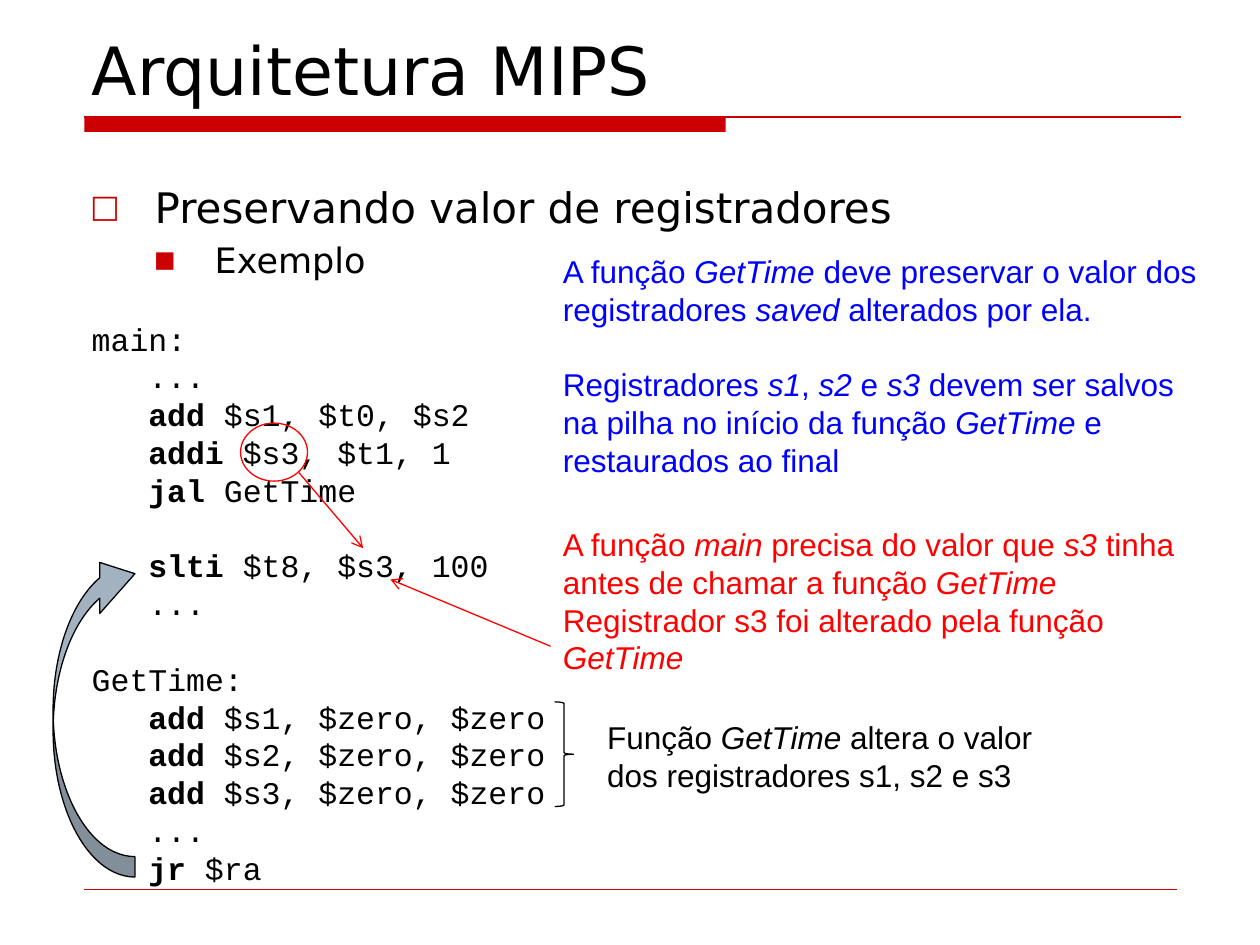
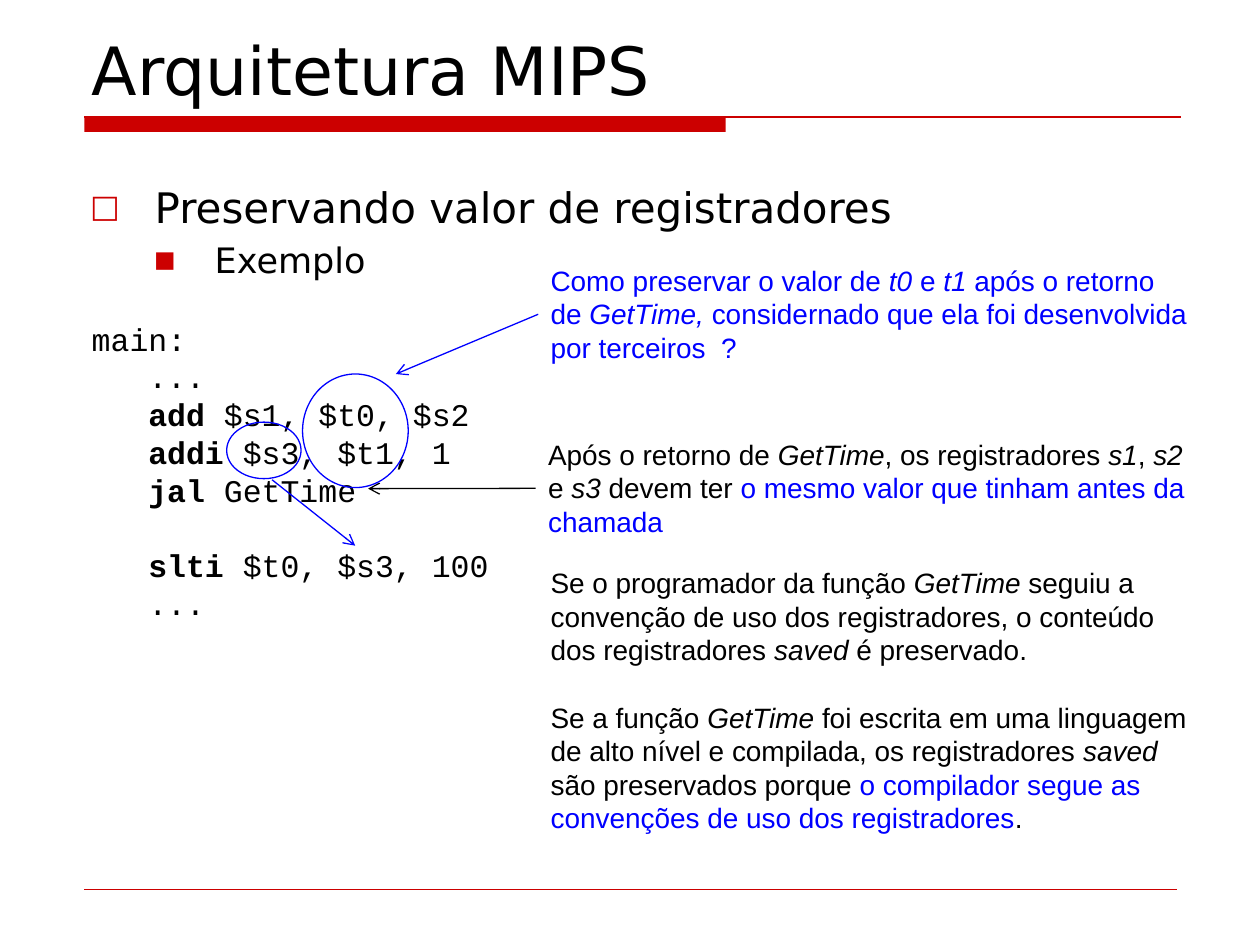
from collections import namedtuple
from dataclasses import dataclass

from lxml.etree import SubElement
from pptx import Presentation
from pptx.dml.color import RGBColor
from pptx.enum.shapes import MSO_CONNECTOR as Connector, MSO_SHAPE as Shape
from pptx.enum.text import MSO_ANCHOR as Anchor
from pptx.oxml.ns import qn
from pptx.util import Cm, Pt

Box = namedtuple("Box", "left top width height")


@dataclass(frozen=True)
class Theme:
    brand: str = "CC0000"
    ink: str = "000000"
    blue: str = "0000FF"
    red: str = "FF0000"
    steel: str = "A3B2C1"
    heading_font: str = "DejaVu Sans"
    code_font: str = "Courier New"
    note_font: str = "Arial"
    title_size: int = 38
    topic_size: int = 24
    subtopic_size: int = 20
    text_size: int = 18
    small_size: int = 16
    leading: float = 1.2
    line: float = 0.75
    hairline: float = 0.25


THEME = Theme()
TITLE = Box(1.6, 0.84, 22.23, 1.47)
BODY = Box(1.57, 3.53, 23.83, 7.29)
BAND = Box(1.7, 2.36, 22.1, 0.3)
FOOTER = Box(1.7, 17.93, 22.02, 0)
CODE_INDENT = 1.14  # three monospaced characters


def rgb(color):
    return RGBColor.from_string(color)


# ---- Basic parts ----
def add_text(slide, box, blocks, *, font, size, color=THEME.ink, accent=THEME.blue,
             emphasis="italic", anchor=Anchor.TOP):
    """Blocks of paragraphs, one line apart; *emphasis* and ^accent colour^."""
    frame = slide.shapes.add_textbox(*map(Cm, box)).text_frame
    frame.word_wrap = True
    frame.vertical_anchor = anchor
    paragraphs = []
    for block_no, block in enumerate(blocks):
        for line_no, line in enumerate(block):
            paragraph = frame.add_paragraph() if paragraphs else frame.paragraphs[0]
            paragraphs.append(paragraph)
            paragraph.line_spacing = Pt(size * THEME.leading)
            if block_no and not line_no:
                paragraph.space_before = Pt(size * THEME.leading)
            add_runs(paragraph, line, font, size, color, accent, emphasis)
    return paragraphs


def add_runs(paragraph, line, font, size, color, accent, emphasis):
    for accent_no, colored in enumerate(line.split("^")):
        for emphasis_no, words in enumerate(colored.split("*")):
            if not words:
                continue
            run = paragraph.add_run()
            run.text = words
            run.font.name, run.font.size = font, Pt(size)
            run.font.color.rgb = rgb(accent if accent_no % 2 else color)
            if emphasis_no % 2:
                setattr(run.font, emphasis, True)


def indent(paragraph, left, hanging=0):
    props = paragraph._p.get_or_add_pPr()
    props.set("marL", str(Cm(left)))
    props.set("indent", str(-Cm(hanging)))
    return props


def add_bullet(paragraph, mark, percent, left, hanging):
    props = indent(paragraph, left, hanging)
    bullet_color = SubElement(props, qn("a:buClr"))
    SubElement(bullet_color, qn("a:srgbClr"), val=THEME.brand)
    SubElement(props, qn("a:buSzPct"), val=str(percent * 1000))
    SubElement(props, qn("a:buFont"), typeface=THEME.heading_font)
    SubElement(props, qn("a:buChar"), char=mark)


def add_line(slide, start, end, color, width=THEME.line, arrow=False):
    line = slide.shapes.add_connector(Connector.STRAIGHT, *map(Cm, start + end))
    line.line.color.rgb = rgb(color)
    line.line.width = Pt(width)
    if arrow:
        SubElement(line.line._get_or_add_ln(), qn("a:tailEnd"), type="arrow")
    SubElement(line._element.spPr, qn("a:effectLst"))


def add_figure(slide, kind, box, fill=None, outline=None, adjustments=()):
    figure = slide.shapes.add_shape(kind, *map(Cm, box))
    figure.shadow.inherit = False
    if fill:
        figure.fill.solid()
        figure.fill.fore_color.rgb = rgb(fill)
    else:
        figure.fill.background()
    if outline:
        figure.line.color.rgb = rgb(outline)
        figure.line.width = Pt(THEME.line)
    else:
        figure.line.fill.background()
    for position, value in enumerate(adjustments):
        figure.adjustments[position] = value
    return figure


# ---- Regions ----
def title_band(slide, box):
    """Thick bar over the first part of a thin rule."""
    add_figure(slide, Shape.RECTANGLE, box._replace(width=12.93), fill=THEME.brand)
    add_line(slide, (box.left, box.top), (box.left + box.width, box.top), THEME.brand)


def footer_rule(slide, box):
    add_line(slide, (box.left, box.top), (box.left + box.width, box.top),
             THEME.brand, THEME.hairline)


def topic_list(slide, box, topic, subtopic):
    heading = {"font": THEME.heading_font}
    first, = add_text(slide, box, [[topic]], size=THEME.topic_size, **heading)
    add_bullet(first, "□", 75, 1.3, 1.3)
    # The second level sits right below the first
    drop = THEME.topic_size * THEME.leading + THEME.subtopic_size * 0.2
    offset = Pt(drop).cm
    lower = box._replace(top=box.top + offset, height=box.height - offset)
    second, = add_text(slide, lower, [[subtopic]], size=THEME.subtopic_size, **heading)
    add_bullet(second, "■", 65, 2.51, 1.22)


def code_listing(slide, box, blocks):
    """Labels stay at the margin, instructions are indented."""
    paragraphs = add_text(slide, box, blocks, font=THEME.code_font,
                          size=THEME.text_size, emphasis="bold")
    for paragraph in paragraphs:
        if not paragraph.text.endswith(":"):
            indent(paragraph, CODE_INDENT)


def note(slide, box, blocks, target=None, start=0.5, size=THEME.text_size,
         color=THEME.ink):
    """Explanation with an optional arrow from its left edge to the code."""
    add_text(slide, box, blocks, font=THEME.note_font, size=size, color=color)
    if target:
        add_line(slide, (box.left, box.top + box.height * start), target,
                 color, arrow=True)


def register_ring(slide, box, color, target=None, start=(0.5, 1)):
    """Ring around a register, with an optional arrow to its later use."""
    add_figure(slide, Shape.OVAL, box, outline=color)
    if target:
        origin = (box.left + box.width * start[0], box.top + box.height * start[1])
        add_line(slide, origin, target, color, arrow=True)


def braced_note(slide, box, blocks):
    add_figure(slide, Shape.RIGHT_BRACE, box._replace(width=0.38),
               outline=THEME.ink, adjustments=(0.083, 0.5))
    note(slide, Box(box.left + 0.81, box.top + 0.2, box.width - 0.81, 1.8), blocks)


def return_arrow(slide, box):
    arrow = add_figure(slide, Shape.CURVED_LEFT_ARROW, box, THEME.steel, THEME.ink,
                       (0.25, 0.624, 0.43))
    arrow.rotation = 180


# ---- Slides ----
def main_code(register):
    return [["main:", "...", "*add* $s1, $t0, $s2", "*addi* $s3, $t1, 1",
             "*jal* GetTime"],
            [f"*slti* {register}, $s3, 100", "..."]]


def base_slide(deck):
    slide = deck.slides.add_slide(deck.slide_layouts[6])
    title_band(slide, BAND)
    footer_rule(slide, FOOTER)
    add_text(slide, TITLE, [["Arquitetura MIPS"]], font=THEME.heading_font,
             size=THEME.title_size, anchor=Anchor.BOTTOM)
    topic_list(slide, BODY, "Preservando valor de registradores", "Exemplo")
    return slide


def saved_registers_slide(deck):
    slide = base_slide(deck)
    get_time = ["GetTime:"]
    get_time += [f"*add* $s{number}, $zero, $zero" for number in (1, 2, 3)]
    get_time += ["...", "*jr* $ra"]
    code_listing(slide, Box(1.6, 6.32, 9.93, 11.79), main_code("$t8") + [get_time])
    braced_note(slide, Box(11.18, 14.15, 10.56, 2.11),
                [["Função *GetTime* altera o valor dos registradores s1, s2 e s3"]])
    note(slide, Box(11.1, 10.46, 13.11, 4.11),
         [["A função *main* precisa do valor que *s3* tinha antes de chamar "
           "a função *GetTime*",
           "Registrador s3 foi alterado pela função *GetTime*"]],
         target=(7.87, 11.68), start=0.625, color=THEME.red)
    note(slide, Box(11.1, 4.95, 13.39, 4.88),
         [["A função *GetTime* deve preservar o valor dos registradores *saved* "
           "alterados por ela."],
          ["Registradores *s1*, *s2* e *s3* devem ser salvos na pilha no início "
           "da função *GetTime* e restaurados ao final"]], color=THEME.blue)
    return_arrow(slide, Box(1.07, 11.05, 1.65, 6.63))
    register_ring(slide, Box(4.85, 8.53, 1.35, 1.17), THEME.red,
                  target=(7.32, 11.05), start=(0.87, 0.85))


def preserved_values_slide(deck):
    slide = base_slide(deck)
    small = {"size": THEME.small_size}
    code_listing(slide, Box(1.6, 6.32, 9.93, 7.19), main_code("$t0"))
    note(slide, Box(10.8, 8.69, 13.39, 2.31),
         [["Após o retorno de *GetTime*, os registradores *s1*, *s2* e *s3* "
           "devem ter ^o mesmo valor que tinham antes da chamada^"]],
         target=(7.42, 9.85), **small)
    register_ring(slide, Box(6.1, 7.54, 2.13, 2.29), THEME.blue)
    note(slide, Box(10.85, 5.18, 13.39, 2.31),
         [["Como preservar o valor de *t0* e *t1* após o retorno de *GetTime, *"
           "considernado que ela foi desenvolvida por terceiros  ?"]],
         target=(7.98, 7.54), color=THEME.blue, **small)
    note(slide, Box(10.85, 11.28, 13.39, 5.74),
         [["Se o programador da função *GetTime* seguiu a convenção de uso dos "
           "registradores, o conteúdo dos registradores *saved* é preservado."],
          ["Se a função *GetTime* foi escrita em uma linguagem de alto nível e "
           "compilada, os registradores *saved* são preservados porque ^o "
           "compilador segue as convenções de uso dos registradores^."]], **small)
    register_ring(slide, Box(4.57, 8.51, 1.5, 1.14), THEME.blue,
                  target=(7.16, 11), start=(0.61, 1.02))


def main():
    deck = Presentation()
    deck.slide_width, deck.slide_height = Cm(25.4), Cm(19.05)
    saved_registers_slide(deck)
    preserved_values_slide(deck)
    deck.save("out.pptx")


if __name__ == "__main__":
    main()
